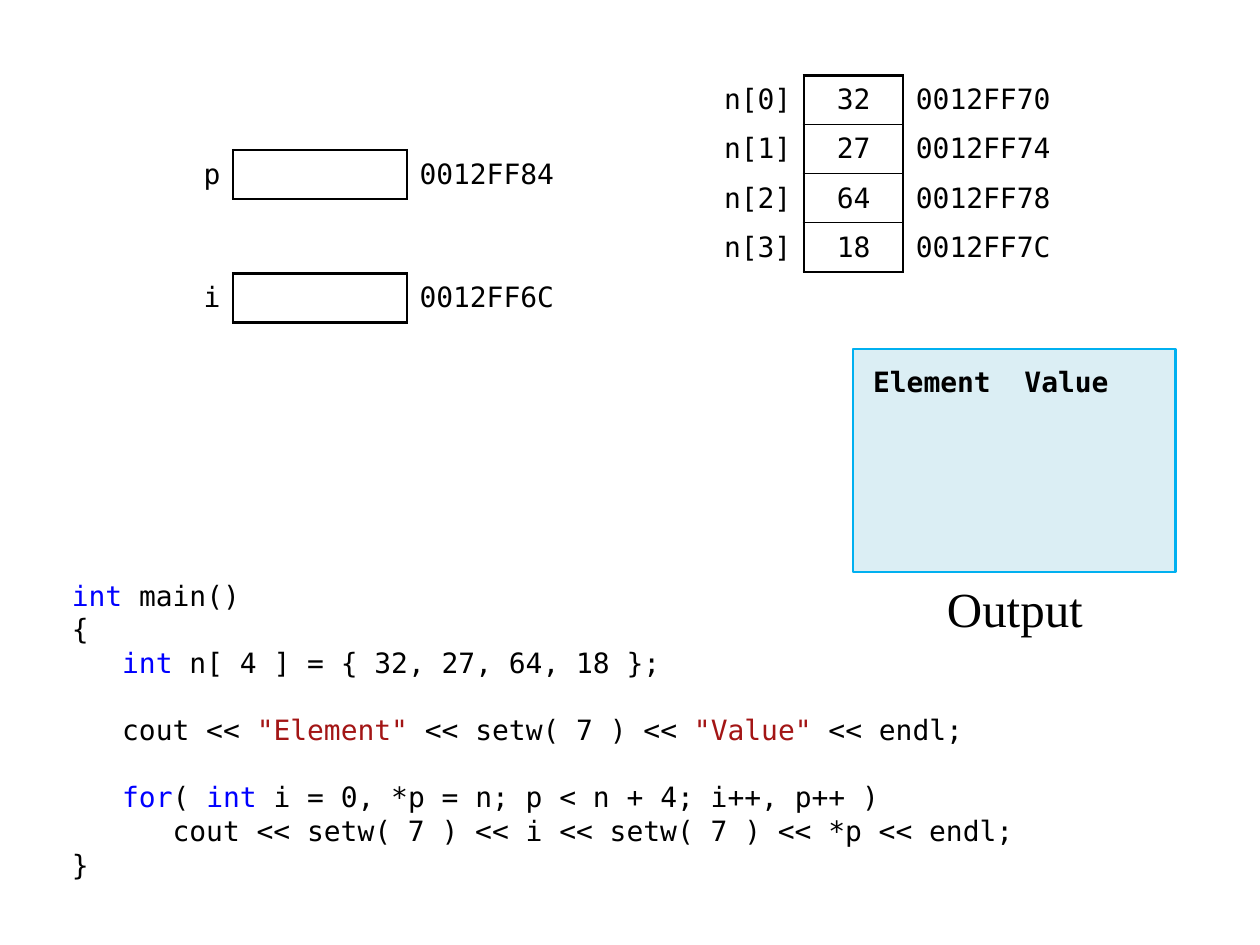
from lxml.etree import SubElement
from pptx import Presentation
from pptx.dml.color import RGBColor
from pptx.enum.text import MSO_ANCHOR as Anchor, MSO_AUTO_SIZE as AutoSize, PP_ALIGN as Align
from pptx.oxml.ns import qn
from pptx.util import Inches, Pt

COLORS = {"text": "000000", "keyword": "0000FF", "string": "A31515",
          "panel": "DBEEF4", "panel_line": "00B0F0"}
MONO = "DejaVu Sans Mono"
SERIF = "Times New Roman"
LINE_PITCH = Pt(19.2)
INDENT = 0.4
ROW_HEIGHT = 0.39
THICK, THIN = 1.5, 0.75
ALIGNMENTS = {"left": Align.LEFT, "center": Align.CENTER, "right": Align.RIGHT}

CODE = [
    (0, 0, [("int", "keyword"), (" main()", "text")]),
    (0, 0, [("{", "text")]),
    (1, 0, [("int", "keyword"), (" n[ 4 ] = { 32, 27, 64, 18 };", "text")]),
    (1, 1, [("cout << ", "text"), ('"Element"', "string"), (" << setw( 7 ) << ", "text"),
            ('"Value"', "string"), (" << endl;", "text")]),
    (1, 1, [("for", "keyword"), ("( ", "text"), ("int ", "keyword"),
            ("i = 0, *p = n; p < n + 4; i++, p++ )", "text")]),
    (2, 0, [("cout << setw( 7 ) << i << setw( 7 ) << *p << endl;", "text")]),
    (0, 0, [("}", "text")]),
]
ARRAY = [("n[0]", "32", "0012FF70"), ("n[1]", "27", "0012FF74"),
         ("n[2]", "64", "0012FF78"), ("n[3]", "18", "0012FF7C")]
VARIABLES = [("p", "0012FF84", 1.19), ("i", "0012FF6C", 2.17)]


def format_run(run, color="text", size=16, font=MONO, bold=False):
    """Set the font of one run."""
    run.font.name = font
    run.font.size = Pt(size)
    run.font.bold = bold
    run.font.color.rgb = RGBColor.from_string(COLORS[color])


def place(shape, left, top, width, height):
    """Move and size a shape given in inches."""
    shape.left, shape.top = Inches(left), Inches(top)
    shape.width, shape.height = Inches(width), Inches(height)


def set_margins(target, left, top, right, bottom):
    """Set the inner margins of a text frame or a cell."""
    target.margin_left, target.margin_top = Inches(left), Inches(top)
    target.margin_right, target.margin_bottom = Inches(right), Inches(bottom)


def format_paragraph(paragraph, level=0, gap=0):
    """Give a body paragraph code spacing and indent without a bullet."""
    paragraph.line_spacing = LINE_PITCH
    paragraph.space_before = LINE_PITCH * gap
    properties = paragraph._p.get_or_add_pPr()
    properties.set("marL", str(Inches(INDENT * level)))
    properties.set("indent", "0")
    SubElement(properties, qn("a:buNone"))


def fill_code(placeholder):
    """Write the coloured program listing."""
    place(placeholder, 0.47, 4.54, 7.68, 2.56)
    frame = placeholder.text_frame
    frame.auto_size = AutoSize.NONE
    for index, (level, gap, tokens) in enumerate(CODE):
        paragraph = frame.add_paragraph() if index else frame.paragraphs[0]
        format_paragraph(paragraph, level, gap)
        for text, color in tokens:
            run = paragraph.add_run()
            run.text = text
            format_run(run, color)


def fill_output(placeholder):
    """Build the output panel with its heading line."""
    place(placeholder, 6.77, 2.77, 2.56, 1.77)
    placeholder.fill.solid()
    placeholder.fill.fore_color.rgb = RGBColor.from_string(COLORS["panel"])
    placeholder.line.color.rgb = RGBColor.from_string(COLORS["panel_line"])
    placeholder.line.width = Pt(THICK)
    frame = placeholder.text_frame
    frame.auto_size = AutoSize.NONE
    set_margins(frame, 0.16, 0.12, 0.1, 0.05)
    paragraph = frame.paragraphs[0]
    paragraph.text = "Element  Value"
    format_paragraph(paragraph)
    format_run(paragraph.runs[0], bold=True)


def add_caption(slide):
    """Add the caption below the output panel."""
    box = slide.shapes.add_textbox(Inches(7.17), Inches(4.54), Inches(1.77), Inches(0.59))
    box.text_frame.word_wrap = True
    paragraph = box.text_frame.paragraphs[0]
    paragraph.text = "Output"
    paragraph.alignment = Align.CENTER
    format_run(paragraph.runs[0], size=28, font=SERIF)


def set_borders(cell, widths):
    """Draw the listed cell borders and hide the others."""
    properties = cell._tc.get_or_add_tcPr()
    for index, side in enumerate("LRTB"):
        line = SubElement(properties, qn(f"a:ln{side}"))
        properties.insert(index, line)
        if side in widths:
            line.set("w", str(Pt(widths[side])))
            fill = SubElement(line, qn("a:solidFill"))
            SubElement(fill, qn("a:srgbClr")).set("val", COLORS["text"])
        else:
            SubElement(line, qn("a:noFill"))


def format_cell(cell, text, alignment, widths, margin, right_margin):
    """Write and style one memory cell."""
    cell.fill.background()
    cell.vertical_anchor = Anchor.MIDDLE
    set_margins(cell, 0.1, margin, right_margin, margin)
    set_borders(cell, widths)
    paragraph = cell.text_frame.paragraphs[0]
    paragraph.text = text
    paragraph.alignment = ALIGNMENTS[alignment]
    for run in paragraph.runs:
        format_run(run)


def add_memory_table(slide, left, top, columns, rows, margin):
    """Add a table of name, boxed value and address, aligned to the last columns."""
    frame = slide.shapes.add_table(len(rows), len(columns), Inches(left), Inches(top),
                                   Inches(sum(columns)), Inches(ROW_HEIGHT * len(rows)))
    table = frame.table
    table.first_row = table.horz_banding = False
    for column, width in zip(table.columns, columns):
        column.width = Inches(width)
    last = len(rows) - 1
    for index, row in enumerate(rows):
        table.rows[index].height = Inches(ROW_HEIGHT)
        box = {"L": THICK, "R": THICK, "T": THIN if index else THICK,
               "B": THIN if index < last else THICK}
        styles = [("right", {"R": THICK}, 0.1), ("center", box, 0.1),
                  ("left", {"L": THICK}, 0.08)]
        spacers = len(columns) - len(styles)
        styles = [("left", {}, 0.1)] * spacers + styles
        texts = ("",) * spacers + row
        for position, (alignment, widths, right_margin) in enumerate(styles):
            format_cell(table.cell(index, position), texts[position], alignment,
                        widths, margin, right_margin)


def main():
    """Build and save the slide."""
    presentation = Presentation()
    presentation.slide_width, presentation.slide_height = Inches(10), Inches(7.5)
    slide = presentation.slides.add_slide(presentation.slide_layouts[3])
    title = slide.shapes.title._element
    title.getparent().remove(title)
    code, output = slide.placeholders
    fill_code(code)
    fill_output(output)
    add_caption(slide)
    add_memory_table(slide, 5, 0.6, [0.59, 0.79, 0.79, 1.38], ARRAY, 0.04)
    for name, address, top in VARIABLES:
        add_memory_table(slide, 1.46, top, [0.39, 1.38, 1.38], [(name, "", address)], 0)
    presentation.save("out.pptx")


if __name__ == "__main__":
    main()
